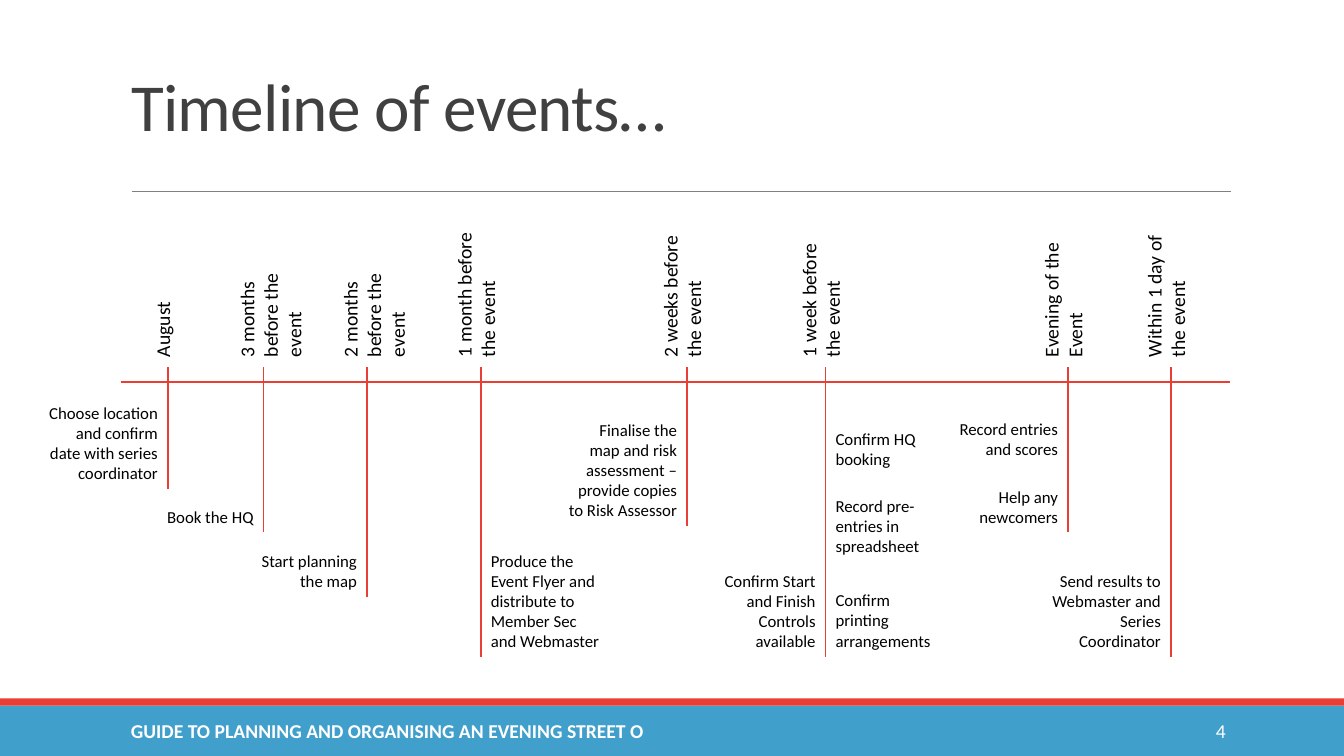
from pptx import Presentation
from pptx.dml.color import RGBColor
from pptx.enum.shapes import MSO_CONNECTOR as Connector, MSO_SHAPE as Shape
from pptx.enum.text import MSO_ANCHOR as Anchor, MSO_AUTO_SIZE as AutoSize, PP_ALIGN as Align
from pptx.oxml.ns import qn
from pptx.util import Inches, Pt
from lxml.etree import SubElement

# Content
TITLE = "Timeline of events…"
FOOTER = "GUIDE TO PLANNING AND ORGANISING AN EVENING STREET O"
PAGE = "4"
LEFT, RIGHT = "left", "right"
# (label, column of the tick, row where it ends,
#  [(task, side of the tick, lines, rows above the tick's end)])
MILESTONES = [
    ("August", 16.65, 48.5,
     [("Choose location and confirm date with series coordinator", LEFT, 4, 0)]),
    ("3 months before the event", 26.15, 52.8,
     [("Book the HQ", LEFT, 1, 0)]),
    ("2 months before the event", 36.4, 59.2,
     [("Start planning the map", LEFT, 2, 0)]),
    ("1 month before the event", 47.7, 65.2,
     [("Produce the Event Flyer and distribute to Member Sec and Webmaster", RIGHT, 5, 0)]),
    ("2 weeks before the event", 68.15, 52.2,
     [("Finalise the map and risk assessment – provide copies to Risk Assessor", LEFT, 5, 0)]),
    ("1 week before the event", 81.9, 65.2,
     [("Confirm HQ booking", RIGHT, 2, 18.1),
      ("Record pre-entries in spreadsheet", RIGHT, 3, 9.5),
      ("Confirm printing arrangements", RIGHT, 3, 0.1),
      ("Confirm Start and Finish Controls available", LEFT, 4, 0)]),
    ("Evening of the Event", 105.95, 52.8,
     [("Record entries and scores", LEFT, 2, 6.7),
      ("Help any newcomers", LEFT, 2, 0)]),
    ("Within 1 day of the event", 116.15, 65.2,
     [("Send results to Webmaster and Series Coordinator", LEFT, 4, 0)]),
]

# Grid: 133.3 columns by 75 rows of one cell
CELL = Inches(0.1)
COLS, ROWS = 133.33, 75
MARGIN = 12
AXIS_ROW, TICK_ROW = 37.9, 36.4
LABEL_W, LABEL_H = 6.7, 14.9
TASK_W, TASK_PAD, TASK_LINE = 12.9, 1, 2.02
FOOTER_ROW, FOOTER_H = 70.5, 4

RED = RGBColor(0xE9, 0x3E, 0x33)
BLUE = RGBColor(0x41, 0x9F, 0xCB)
GREY = RGBColor(0x80, 0x80, 0x80)
DARK = RGBColor(0x40, 0x40, 0x40)
BLACK = RGBColor(0, 0, 0)
WHITE = RGBColor(0xFF, 0xFF, 0xFF)
FONT = "Calibri"


def cells(*counts):
    return [round(count * CELL) for count in counts]


def write(holder, text, size=12, color=BLACK, bold=False, align=Align.LEFT,
          anchor=Anchor.TOP, upward=False, line_spacing=None, tracking=None):
    frame = holder.text_frame
    frame.word_wrap = True
    frame.auto_size = AutoSize.NONE
    frame.vertical_anchor = anchor
    if upward:
        holder.element.txBody.find(qn("a:bodyPr")).set("vert", "vert270")
    paragraph = frame.paragraphs[0]
    paragraph.alignment = align
    if line_spacing:
        paragraph.line_spacing = line_spacing
    run = paragraph.add_run()
    run.text = text
    font = run.font
    font.name, font.size, font.bold = FONT, Pt(size), bold
    font.color.rgb = color
    if tracking:
        holder.element.find(".//" + qn("a:rPr")).set("spc", str(round(tracking * 100)))


def text_at(box, text, **style):
    holder = slide.shapes.add_textbox(*cells(*box))
    write(holder, text, **style)
    return holder


def draw_line(start, end, color, width):
    line = slide.shapes.add_connector(Connector.STRAIGHT, *cells(*start, *end))
    line.line.color.rgb = color
    line.line.width = Pt(width)
    SubElement(line.element.spPr, qn("a:effectLst"))
    return line


def draw_bar(top, height, color):
    bar = slide.shapes.add_shape(Shape.RECTANGLE, *cells(0, top, COLS, height))
    bar.shadow.inherit = False
    bar.fill.solid()
    bar.fill.fore_color.rgb = color
    bar.line.fill.background()


deck = Presentation()
deck.slide_width, deck.slide_height = cells(COLS, ROWS)
slide = deck.slides.add_slide(deck.slide_layouts[5])

# Footer bars and title rule
draw_bar(70, 5, BLUE)
draw_bar(69.3, 0.7, RED)
draw_line((13.1, 19), (122.1, 19), GREY, 0.5)

# Title
title = slide.shapes.title
title.left, title.top, title.width, title.height = cells(MARGIN, 3.1, 110, 15.9)
write(title, TITLE, size=48, color=DARK, anchor=Anchor.MIDDLE,
      line_spacing=0.85, tracking=-0.5)

# Footer text and page number
text_at((MARGIN, FOOTER_ROW, 81.1, FOOTER_H), FOOTER,
        size=14, color=WHITE, bold=True, anchor=Anchor.MIDDLE)
text_at((108.3, FOOTER_ROW, 14.3, FOOTER_H), PAGE,
        size=14, color=WHITE, align=Align.RIGHT, anchor=Anchor.MIDDLE)

# Time axis
draw_line((MARGIN, AXIS_ROW), (MARGIN + 110, AXIS_ROW), RED, 2)

# Milestones: label above the axis, tick through it, tasks beside the tick
for label, col, end_row, tasks in MILESTONES:
    label_w = LABEL_W if " " in label else 4.4
    heading = text_at((col - label_w / 2, TICK_ROW - LABEL_H, label_w, LABEL_H),
                      label, size=14, upward=True)
    tick = draw_line((col, end_row), (col, TICK_ROW), RED, 1.25)
    tick.end_connect(heading, 2)
    for task, side, lines, rise in tasks:
        height = TASK_PAD + TASK_LINE * lines
        left = col - TASK_W if side == LEFT else col
        text_at((left, end_row - rise - height, TASK_W, height), task,
                align=Align.RIGHT if side == LEFT else Align.LEFT)

deck.save("out.pptx")
